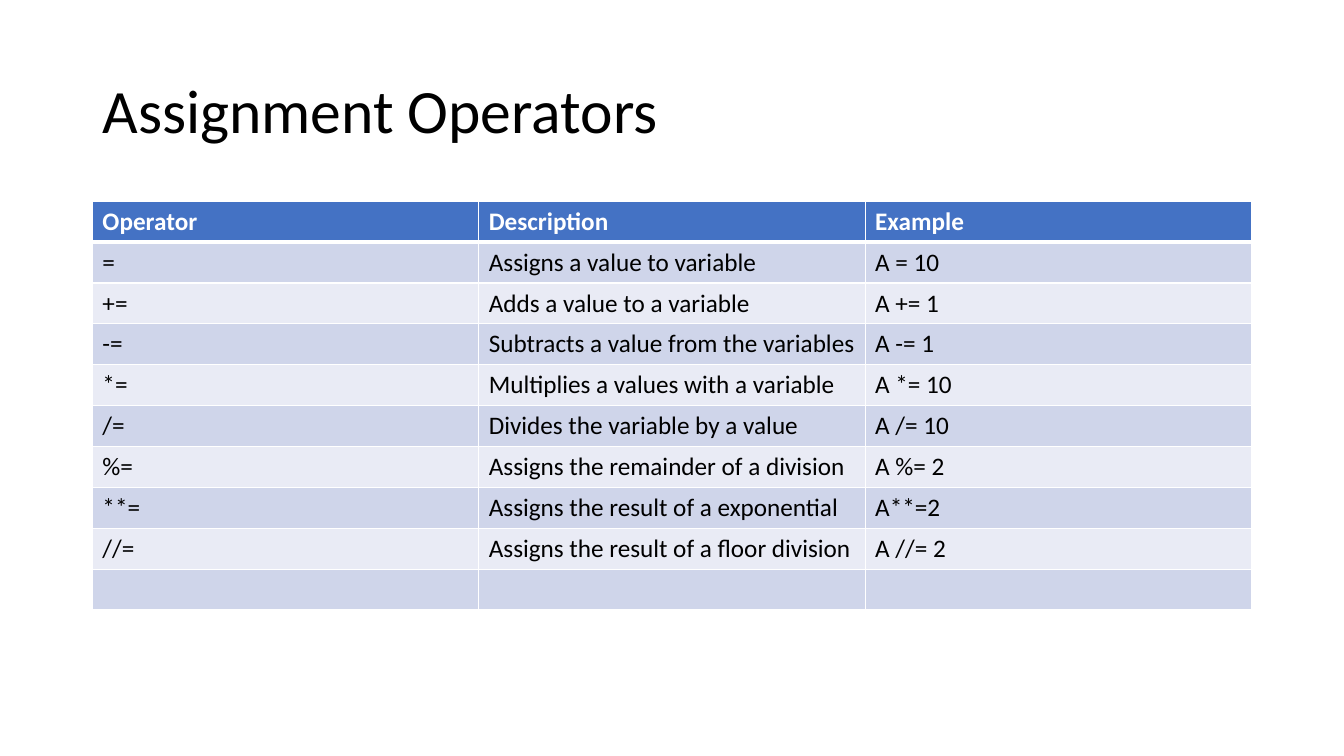
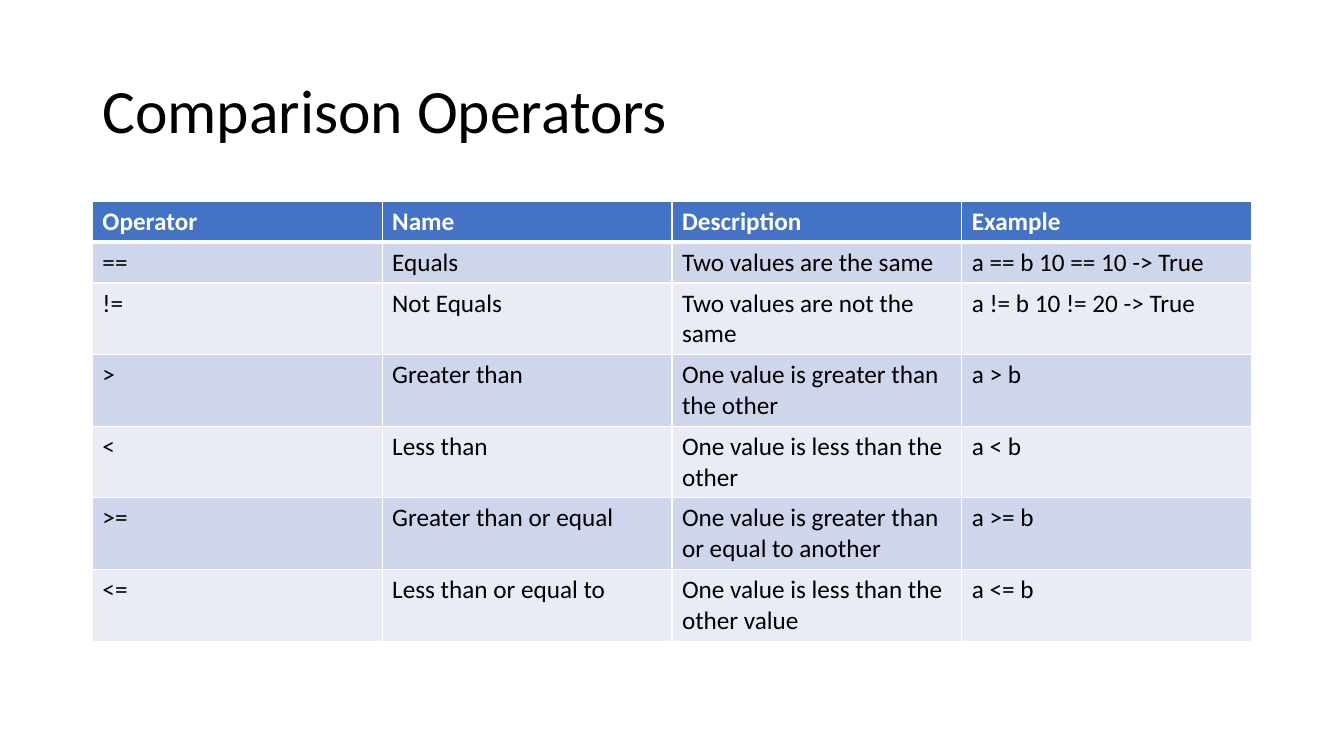
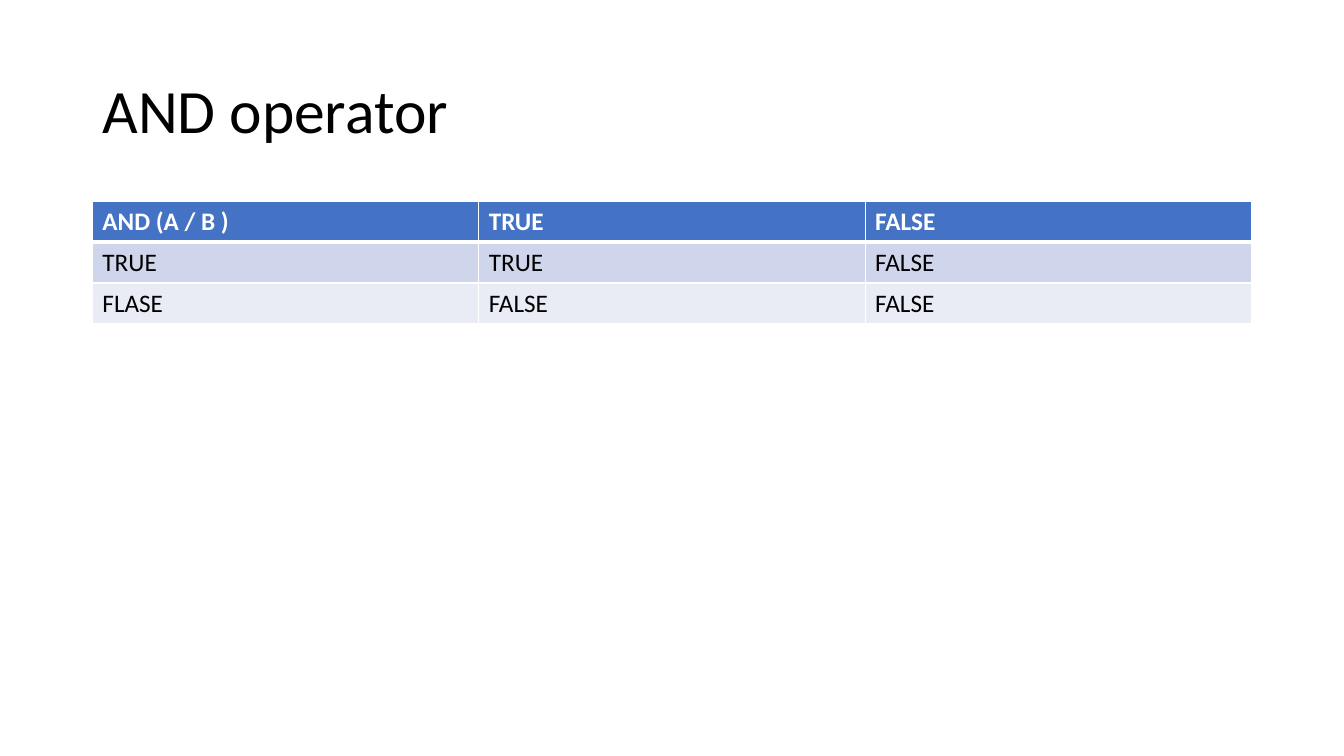
from lxml.etree import SubElement
from pptx import Presentation
from pptx.dml.color import RGBColor
from pptx.enum.text import MSO_ANCHOR as Anchor, MSO_AUTO_SIZE as AutoSize, PP_ALIGN as Align
from pptx.oxml.ns import qn
from pptx.util import Pt

FONT = "Calibri"
BLACK, WHITE = "000000", "FFFFFF"
HEADER_FILL = "4472C4"
BAND_FILLS = ("CFD5EA", "E9EBF5")
LEFT, WIDTH = 66, 828
TITLE_TOP, TITLE_HEIGHT = 28.75, 104.4
TABLE_TOP, ROW_HEIGHT = 143.75, 29.2
THIN, THICK = 1, 3

ASSIGNMENT = [
    ("Operator", "Description", "Example"),
    ("=", "Assigns a value to variable", "A = 10"),
    ("+=", "Adds a value to a variable", "A += 1"),
    ("-=", "Subtracts a value from the variables", "A -= 1"),
    ("*=", "Multiplies a values with a variable", "A *= 10"),
    ("/=", "Divides the variable by a value", "A /= 10"),
    ("%=", "Assigns the remainder of a division", "A %= 2"),
    ("**=", "Assigns the result of a exponential", "A**=2"),
    ("//=", "Assigns the result of a floor division", "A //= 2"),
    ("", "", ""),
]
COMPARISON = [
    ("Operator", "Name", "Description", "Example"),
    ("==", "Equals", "Two values are the same", "a == b 10 == 10 -> True"),
    ("!=", "Not Equals", "Two values are not the same", "a != b 10 != 20 -> True"),
    (">", "Greater than", "One value is greater than the other", "a > b"),
    ("<", "Less than", "One value is less than the other", "a < b"),
    (">=", "Greater than or equal", "One value is greater than or equal to another", "a >= b"),
    ("<=", "Less than or equal to", "One value is less than the other value", "a <= b"),
]
AND_TRUTH = [
    ("AND (A / B )", "TRUE", "FALSE"),
    ("TRUE", "TRUE", "FALSE"),
    ("FLASE", "FALSE", "FALSE"),
]


def rgb(color):
    return RGBColor.from_string(color)


def style_text(frame, size, color, bold=False):
    for paragraph in frame.paragraphs:
        for run in paragraph.runs:
            run.font.name = FONT
            run.font.size = Pt(size)
            run.font.bold = bold
            run.font.color.rgb = rgb(color)


def set_title(slide, text):
    title = slide.shapes.title
    title.left, title.top = Pt(LEFT), Pt(TITLE_TOP)
    title.width, title.height = Pt(WIDTH), Pt(TITLE_HEIGHT)
    frame = title.text_frame
    frame.text = text
    frame.auto_size = AutoSize.NONE
    frame.vertical_anchor = Anchor.MIDDLE
    frame.paragraphs[0].alignment = Align.LEFT
    frame.paragraphs[0].line_spacing = 0.9
    style_text(frame, 44, BLACK)


def set_borders(cell, top, bottom):
    properties = cell._tc.get_or_add_tcPr()
    for side, width in (("L", THIN), ("R", THIN), ("T", top), ("B", bottom)):
        border = SubElement(properties, qn(f"a:ln{side}"), w=str(Pt(width)))
        fill = SubElement(border, qn("a:solidFill"))
        SubElement(fill, qn("a:srgbClr"), val=WHITE)


def style_cell(cell, row_index):
    header = row_index == 0
    set_borders(cell, THICK if row_index == 1 else THIN, THICK if header else THIN)
    cell.fill.solid()
    cell.fill.fore_color.rgb = rgb(HEADER_FILL if header else BAND_FILLS[(row_index - 1) % 2])
    style_text(cell.text_frame, 18, WHITE if header else BLACK, header)


def add_operator_table(slide, rows):
    columns = len(rows[0])
    table = slide.shapes.add_table(
        len(rows), columns, Pt(LEFT), Pt(TABLE_TOP), Pt(WIDTH), Pt(ROW_HEIGHT * len(rows))
    ).table
    for column in table.columns:
        column.width = Pt(WIDTH / columns)
    for row_index, texts in enumerate(rows):
        table.rows[row_index].height = Pt(ROW_HEIGHT)
        for column_index, text in enumerate(texts):
            cell = table.cell(row_index, column_index)
            cell.text_frame.text = text
            style_cell(cell, row_index)


def main():
    deck = Presentation()
    deck.slide_width, deck.slide_height = Pt(960), Pt(540)
    title_only = deck.slide_layouts[5]
    for title, rows in (
        ("Assignment Operators", ASSIGNMENT),
        ("Comparison Operators", COMPARISON),
        ("AND operator", AND_TRUTH),
    ):
        slide = deck.slides.add_slide(title_only)
        set_title(slide, title)
        add_operator_table(slide, rows)
    deck.save("out.pptx")


if __name__ == "__main__":
    main()
